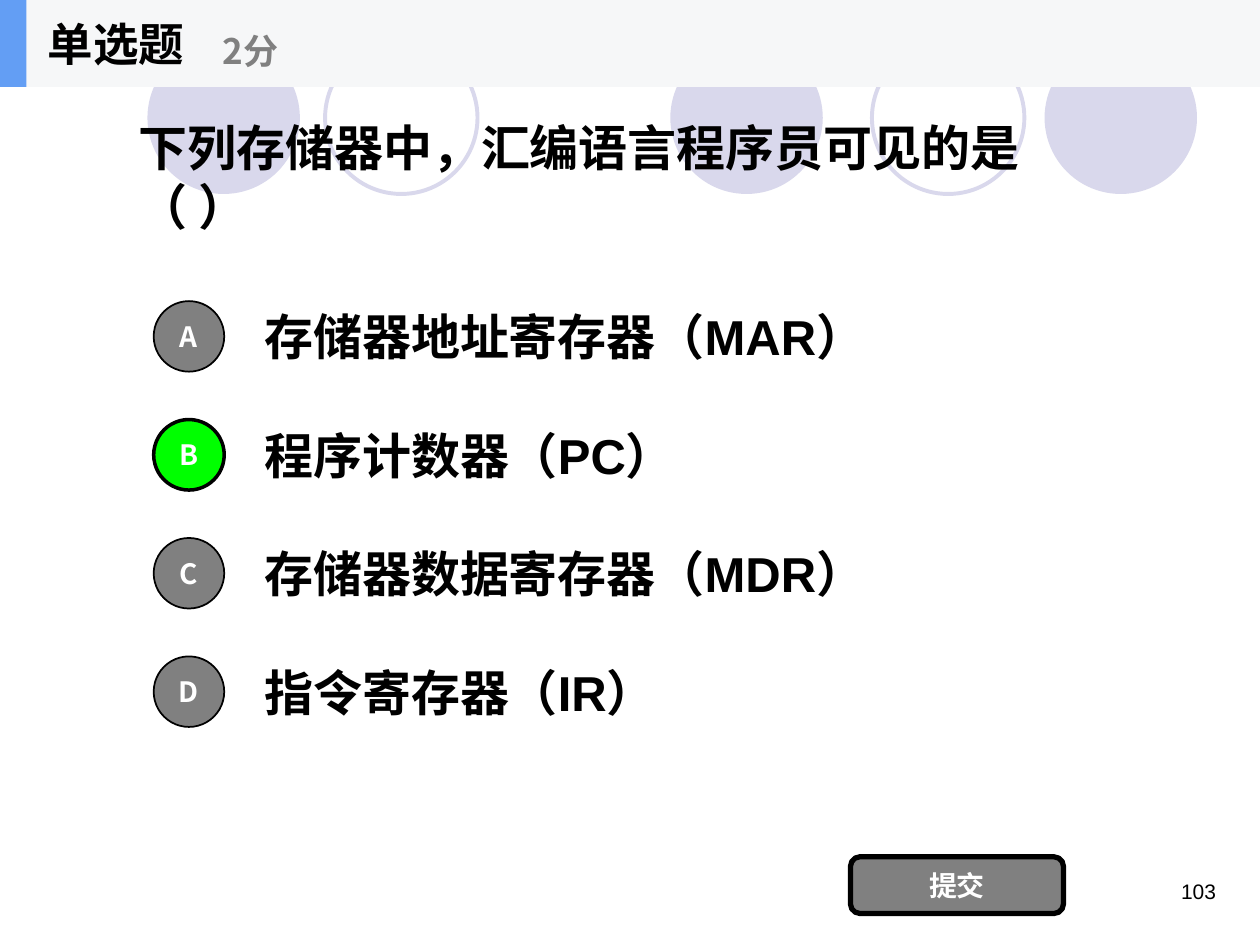
import lxml.etree
import pptx
import pptx.dml.color
import pptx.enum.shapes
import pptx.enum.text
import pptx.oxml.ns
import pptx.util

Inches = pptx.util.Inches
SHAPES = pptx.enum.shapes.MSO_SHAPE
ALIGN = pptx.enum.text.PP_ALIGN
ANCHOR = pptx.enum.text.MSO_ANCHOR

CJK_FONT = "Noto Sans CJK SC"
COLORS = {
    "ink": "000000",
    "white": "FFFFFF",
    "gray": "808080",
    "correct": "00FF00",
    "lilac": "D9D8EC",
    "band": "F6F7F8",
    "accent": "639EF4",
}


def color(name):
    return pptx.dml.color.RGBColor.from_string(COLORS[name])


def write_text(shape, text, size=28, font=CJK_FONT, ink="ink", bold=True,
               align=ALIGN.LEFT, anchor=ANCHOR.MIDDLE):
    frame = shape.text_frame
    frame.word_wrap = True
    frame.auto_size = pptx.enum.text.MSO_AUTO_SIZE.NONE
    frame.vertical_anchor = anchor
    para = frame.paragraphs[0]
    para.alignment = align
    span = para.add_run()
    span.text = text
    span.font.size = pptx.util.Pt(size)
    span.font.name = font
    span.font.bold = bold
    span.font.color.rgb = color(ink)
    east_asian = lxml.etree.SubElement(
        span.font._element, pptx.oxml.ns.qn("a:ea"))
    east_asian.set("typeface", CJK_FONT)


def add_label(page, box, text, **text_format):
    label = page.shapes.add_textbox(*map(Inches, box))
    write_text(label, text, **text_format)


def add_block(page, kind, box, fill=None, line=None, width=1):
    block = page.shapes.add_shape(kind, *map(Inches, box))
    block.shadow.inherit = False
    if fill:
        block.fill.solid()
        block.fill.fore_color.rgb = color(fill)
    else:
        block.fill.background()
    if line:
        block.line.color.rgb = color(line)
        block.line.width = pptx.util.Pt(width)
    else:
        block.line.fill.background()
    return block


def add_backdrop(page, top, diameter):
    for left in (5.32, 8.29, 1.17):
        add_block(page, SHAPES.OVAL, (left, top, diameter, diameter), fill="lilac")
    for left in (6.92, 2.58):
        add_block(page, SHAPES.OVAL, (left, top, diameter, diameter),
                  line="lilac", width=2.25)


def place_question(page, box, text):
    title = page.shapes.title
    title.left, title.top, title.width, title.height = map(Inches, box)
    write_text(title, text, font="Arial")
    # Bring the title in front of the backdrop circles.
    title._element.getparent().append(title._element)


def add_options(page, box, options, correct):
    left, top, width, height = box
    pitch = 0.94
    badge = 0.56
    text_left = left + 0.78
    for row, (letter, text) in enumerate(options):
        row_top = top + row * pitch
        add_label(page, (text_left, row_top, width - 0.78, height), text, font="Arial")
        is_correct = letter == correct
        circle = add_block(
            page, SHAPES.OVAL,
            (left, row_top + (height - badge) / 2, badge, badge),
            fill="correct" if is_correct else "gray",
            line="ink", width=2 if is_correct else 1)
        write_text(circle, letter, size=16, ink="white", align=ALIGN.CENTER)


def add_submit_button(page, box, text):
    button = add_block(page, SHAPES.ROUNDED_RECTANGLE, box,
                       fill="gray", line="ink", width=3)
    write_text(button, text, size=16, ink="white", align=ALIGN.CENTER)


def add_header(page, box, kind, points):
    left, top, width, height = box
    add_block(page, SHAPES.RECTANGLE, box, fill="band")
    add_block(page, SHAPES.RECTANGLE, (left, top, 0.21, height), fill="accent")
    add_label(page, (left + 0.28, top, 2.08, height), kind, size=26)
    add_label(page, (left + 1.67, top + 0.12, 2.5, 0.56), points,
              size=20, ink="gray")


def main():
    deck = pptx.Presentation()
    deck.slide_width, deck.slide_height = Inches(10), Inches(7.5)
    page = deck.slides.add_slide(deck.slide_layouts.get_by_name("Title Only"))

    add_backdrop(page, 0.33, 1.21)
    add_label(page, (7.42, 6.92, 2.33, 0.5), "103", size=12, font="Arial",
              bold=False, align=ALIGN.RIGHT, anchor=ANCHOR.TOP)
    place_question(page, (1, 0.47, 8, 1.86),
                   "下列存储器中，汇编语言程序员可见的是（ ）")
    options = [
        ("A", "存储器地址寄存器（MAR）"),
        ("B", "程序计数器（PC）"),
        ("C", "存储器数据寄存器（MDR）"),
        ("D", "指令寄存器（IR）"),
    ]
    add_options(page, (1.22, 2.32, 7.78, 0.7), options, correct="B")
    add_submit_button(page, (6.75, 6.8, 1.69, 0.45), "提交")
    add_header(page, (0, 0, 10, 0.69), "单选题", "2分")

    deck.save("out.pptx")


if __name__ == "__main__":
    main()
